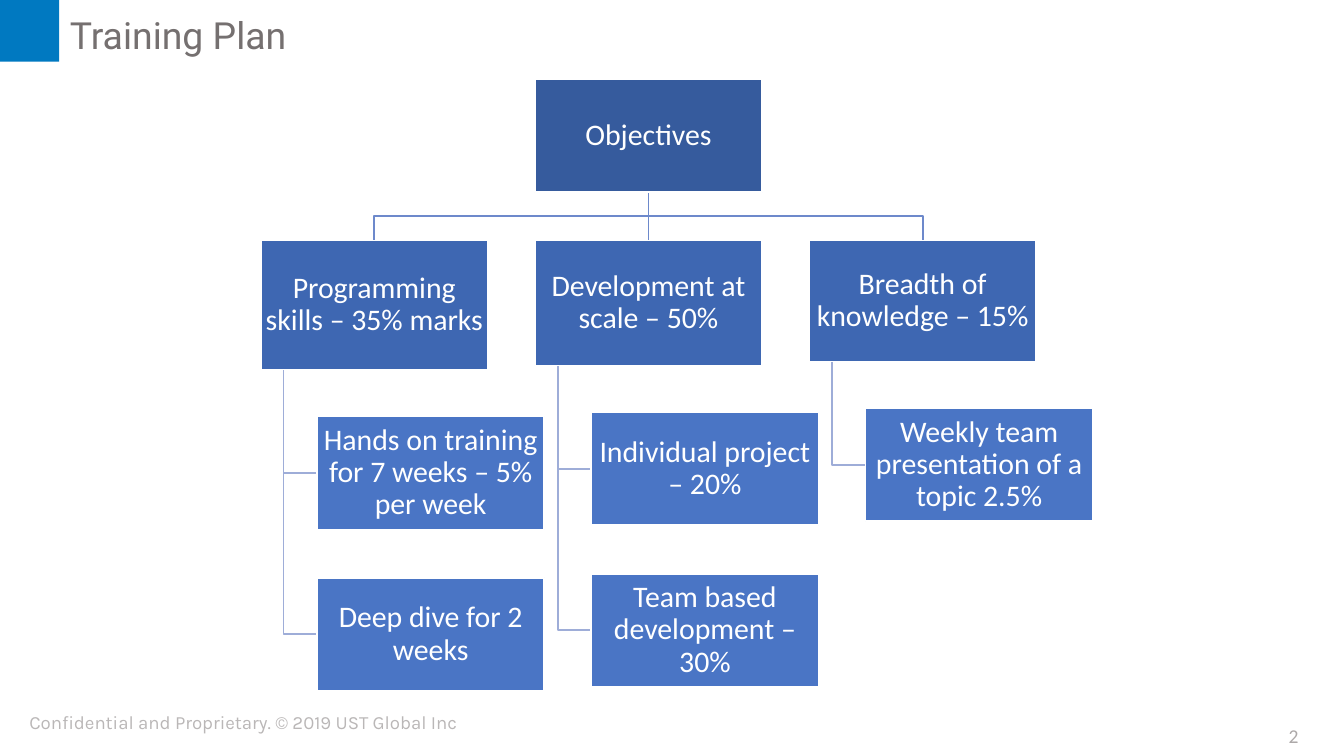
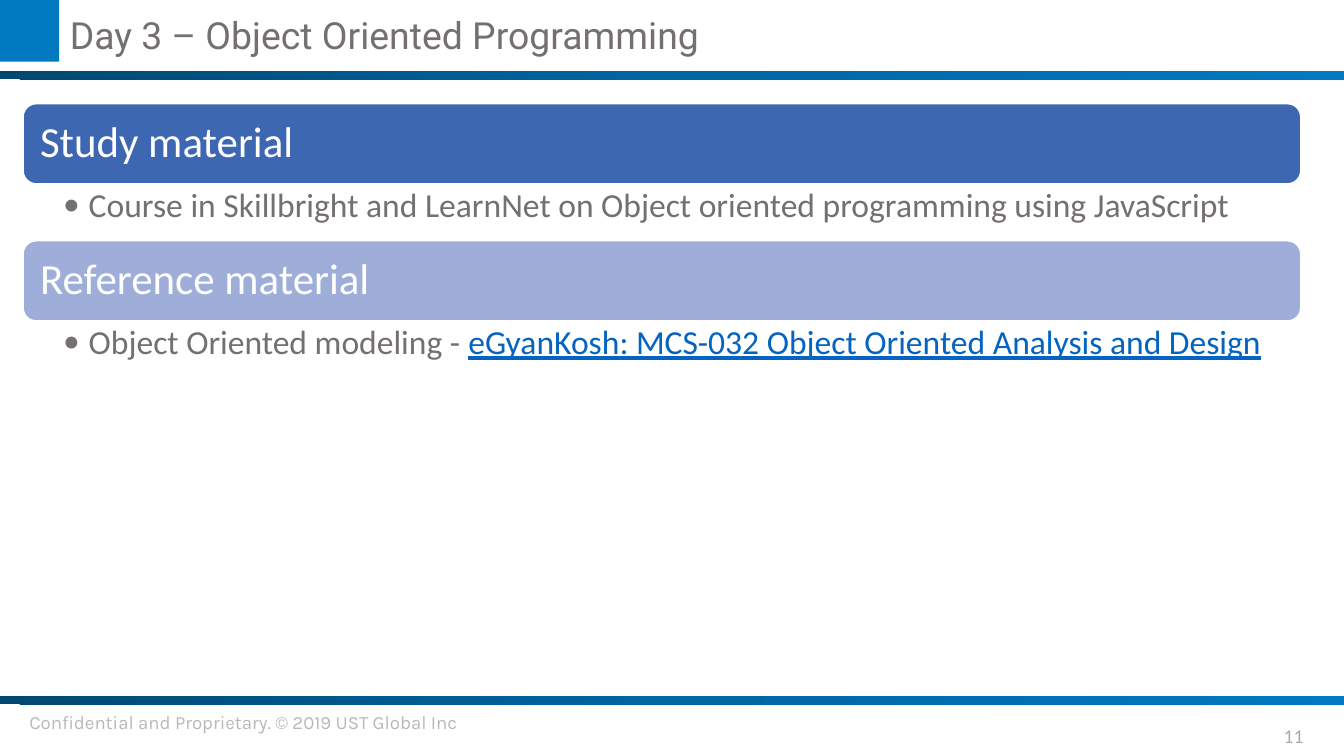
import copy
import dataclasses

import pptx
import pptx.dml.color
import pptx.enum.shapes
import pptx.enum.text
import pptx.oxml.ns
import pptx.util

Inches = pptx.util.Inches
SHAPE = pptx.enum.shapes.MSO_SHAPE
ALIGN = pptx.enum.text.PP_ALIGN
ANCHOR = pptx.enum.text.MSO_ANCHOR


@dataclasses.dataclass(frozen=True)
class Theme:
    """Colours, fonts and type sizes of the deck."""
    accent: str = "0079C1"
    white: str = "FFFFFF"
    grey: str = "757070"
    footer: str = "BAB7B7"
    number: str = "ADA9A9"
    link: str = "0563C1"
    root: str = "365B9D"
    branch: str = "3E67B2"
    leaf: str = "4A75C5"
    pale: str = "9FAED8"
    trunk_line: str = "6D89CB"
    leaf_line: str = "9EADD8"
    band: tuple = ((0, "004872"), (0.5, "0066A3"), (1, "0079C1"))
    title_font: str = "Roboto"
    body_font: str = "Calibri"
    footer_font: str = "Karla"
    title_size: float = 20
    banner_size: float = 23
    bullet_size: float = 18
    node_size: float = 16
    number_size: float = 10.5
    footer_size: float = 10


THEME = Theme()

FOOTER = "Confidential and Proprietary. © 2019 UST Global Inc"

NODE_WIDTH, NODE_HEIGHT = 1.69, 0.84
ROOT_TOP, BRANCH_TOP = 0.59, 1.79
BRANCH_LEFT, NODE_GAP = 1.94, 0.35
LEAF_INDENT, STEM_INDENT, LEAF_PITCH = 0.42, 0.17, 1.2
BRANCHES = (
    ("Programming skills – 35% marks", 0.96,
     ("Hands on training for 7 weeks – 5% per week", "Deep dive for 2 weeks")),
    ("Development at scale – 50%", 0.93,
     ("Individual project – 20%", "Team based development – 30%")),
    ("Breadth of knowledge – 15%", 0.9,
     ("Weekly team presentation of a topic 2.5%",)),
)

SECTION_LEFT, SECTION_TOP, SECTION_WIDTH = 0.17, 0.77, 9.51
BANNER_HEIGHT, BULLET_HEIGHT = 0.6, 0.42
SECTIONS = (
    ("Study material", THEME.branch,
     (("Course in Skillbright and LearnNet on Object oriented programming using JavaScript", False),)),
    ("Reference material", THEME.pale,
     (("Object Oriented modeling - ", False),
      ("eGyanKosh: MCS-032 Object Oriented Analysis and Design", True))),
)


def rgb(value):
    """Turn a hex string into a colour."""
    return pptx.dml.color.RGBColor.from_string(value)


def add_bullet(para, bullet, font):
    """Give a paragraph a hanging bullet."""
    properties = para._p.get_or_add_pPr()
    properties.set("marL", str(Inches(0.19)))
    properties.set("indent", str(-Inches(0.19)))
    for tag, attributes in (("a:buFont", {"typeface": font}),
                            ("a:buChar", {"char": bullet})):
        properties.append(properties.makeelement(pptx.oxml.ns.qn(tag), attributes))


def write_text(box, text, *, size, color, font=THEME.body_font, align=ALIGN.LEFT,
               anchor=ANCHOR.MIDDLE, insets=(0, 0, 0, 0), spacing=1.0, bullet=None):
    """Fill a box with one paragraph; text is a string or (words, is_link) pairs."""
    frame = box.text_frame
    frame.word_wrap = True
    frame.vertical_anchor = anchor
    (frame.margin_left, frame.margin_top,
     frame.margin_right, frame.margin_bottom) = map(Inches, insets)
    para = frame.paragraphs[0]
    if bullet:
        add_bullet(para, bullet, font)
    para.alignment = align
    para.line_spacing = spacing
    for words, is_link in ((text, False),) if isinstance(text, str) else text:
        span = para.add_run()
        span.text = words
        span.font.size = pptx.util.Pt(size)
        span.font.name = font
        span.font.color.rgb = rgb(THEME.link if is_link else color)
        if is_link:
            span.font.underline = True


def add_text(page, place, text, **style):
    """Add a text box at left, top, width, height."""
    box = page.shapes.add_textbox(*map(Inches, place))
    write_text(box, text, **style)


def add_block(page, place, fill=None, line=None, kind=SHAPE.RECTANGLE):
    """Add a preset shape without shadow."""
    block = page.shapes.add_shape(kind, *map(Inches, place))
    block.shadow.inherit = False
    if fill:
        block.fill.solid()
        block.fill.fore_color.rgb = rgb(fill)
    if line:
        block.line.color.rgb = rgb(line)
        block.line.width = pptx.util.Pt(1)
    else:
        block.line.fill.background()
    return block


def add_band(page, top):
    """Add a full-width gradient band."""
    band = add_block(page, (0, top, 10, 0.06))
    band.fill.gradient()
    stops = band._element.spPr.find(".//" + pptx.oxml.ns.qn("a:gsLst"))
    stops.append(copy.deepcopy(stops[0]))
    for stop, (position, color) in zip(band.fill.gradient_stops, THEME.band):
        stop.position = position
        stop.color.rgb = rgb(color)
    band.fill.gradient_angle = 315


def add_elbow(page, points, color):
    """Draw an open bent line through the points."""
    start, *rest = [tuple(map(Inches, point)) for point in points]
    builder = page.shapes.build_freeform(*start)
    builder.add_line_segments(rest, close=False)
    elbow = builder.convert_to_shape()
    elbow.shadow.inherit = False
    elbow.fill.background()
    elbow.line.color.rgb = rgb(color)
    elbow.line.width = pptx.util.Pt(1)


def add_straight(page, start, end, color):
    """Draw a straight connector without shadow."""
    line = page.shapes.add_connector(
        pptx.enum.shapes.MSO_CONNECTOR.STRAIGHT, *map(Inches, start + end))
    line.line.color.rgb = rgb(color)
    line.line.width = pptx.util.Pt(1)
    properties = line._element.spPr
    properties.append(properties.makeelement(pptx.oxml.ns.qn("a:effectLst"), {}))


def add_node(page, left, top, text, fill, height=NODE_HEIGHT):
    """Add one labelled box of the tree."""
    node = add_block(page, (left, top, NODE_WIDTH, height), fill, THEME.white)
    write_text(node, text, size=THEME.node_size, color=THEME.white,
               align=ALIGN.CENTER, insets=(0.01,) * 4, spacing=0.9)


def add_page(deck, title, number):
    """Add a page with the corner block, title, footer and page number."""
    page = deck.slides.add_slide(deck.slide_layouts[6])
    add_text(page, (0.12, 5.24, 5, 0.27), FOOTER, size=THEME.footer_size,
             color=THEME.footer, font=THEME.footer_font, anchor=ANCHOR.TOP,
             insets=(0.1, 0.05, 0.1, 0.05))
    add_block(page, (0, 0, 0.44, 0.46), THEME.accent)
    add_text(page, (9.36, 5.38, 0.53, 0.19), str(number), size=THEME.number_size,
             color=THEME.number, align=ALIGN.CENTER)
    add_text(page, (0.52, 0.09, 9.16, 0.34), title, size=THEME.title_size,
             color=THEME.grey, font=THEME.title_font)
    return page


def add_branch(page, left, label, height, leaves):
    """Add a branch box with its leaves and their lines."""
    bottom = BRANCH_TOP + height
    stem, leaf_left = left + STEM_INDENT, left + LEAF_INDENT
    for index, leaf in enumerate(leaves):
        top = bottom + NODE_GAP + index * LEAF_PITCH
        middle = top + NODE_HEIGHT / 2
        add_elbow(page, ((stem, bottom), (stem, middle), (leaf_left, middle)),
                  THEME.leaf_line)
        add_node(page, leaf_left, top, leaf, THEME.leaf)
    add_node(page, left, BRANCH_TOP, label, THEME.branch, height)


def add_objectives_tree(page):
    """Draw the tree of objectives from its root down."""
    lefts = [BRANCH_LEFT + index * (NODE_WIDTH + NODE_GAP)
             for index in range(len(BRANCHES))]
    root_left = lefts[1]
    root_center, root_bottom = root_left + NODE_WIDTH / 2, ROOT_TOP + NODE_HEIGHT
    fork = (root_bottom + BRANCH_TOP) / 2
    for left in lefts:
        center = left + NODE_WIDTH / 2
        start, end = (root_center, root_bottom), (center, BRANCH_TOP)
        if left == root_left:
            add_straight(page, start, end, THEME.trunk_line)
        else:
            add_elbow(page, (start, (root_center, fork), (center, fork), end),
                      THEME.trunk_line)
    add_node(page, root_left, ROOT_TOP, "Objectives", THEME.root)
    for left, branch in zip(lefts, BRANCHES):
        add_branch(page, left, *branch)


def add_section(page, top, heading, fill, item):
    """Add a rounded banner with a bullet below it."""
    banner = add_block(page, (SECTION_LEFT, top, SECTION_WIDTH, BANNER_HEIGHT),
                       fill, THEME.white, SHAPE.ROUNDED_RECTANGLE)
    write_text(banner, heading, size=THEME.banner_size, color=THEME.white,
               insets=(0.1,) * 4, spacing=0.9)
    add_text(page, (SECTION_LEFT, top + BANNER_HEIGHT, SECTION_WIDTH, BULLET_HEIGHT),
             item, size=THEME.bullet_size, color=THEME.grey, anchor=ANCHOR.TOP,
             insets=(0.3, 0.03, 0.18, 0.03), spacing=0.9, bullet="•")


def main():
    """Build and save the deck."""
    deck = pptx.Presentation()
    deck.slide_width = Inches(10)
    deck.slide_height = deck.slide_width * 9 // 16

    add_objectives_tree(add_page(deck, "Training Plan", 2))

    page = add_page(deck, "Day 3 – Object Oriented Programming", 11)
    for top in (0.53, 5.18):
        add_band(page, top)
    for index, section in enumerate(SECTIONS):
        add_section(page, SECTION_TOP + index * (BANNER_HEIGHT + BULLET_HEIGHT), *section)

    deck.save("out.pptx")


if __name__ == "__main__":
    main()
